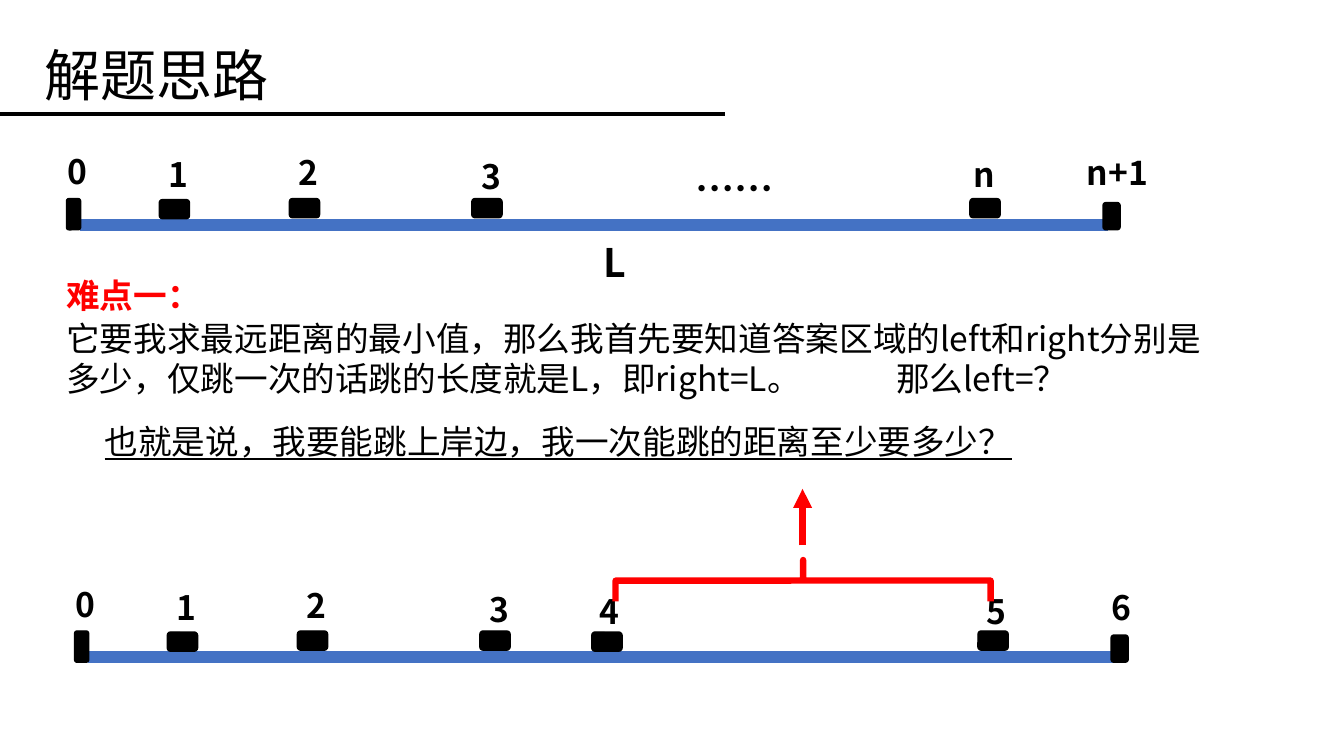
import pptx
import pptx.util
import pptx.dml.color
import pptx.enum.shapes
import pptx.oxml.ns
import lxml.etree

FONT = "Noto Sans CJK SC"
BLACK, BLUE, RED = "000000", "4472C4", "FF0000"
TITLE = "解题思路"
HEADING = "难点一："
BODY = [
    ("它要我求最远距离的最小值，那么我首先要知道答案区域的left和right分别"
     "是多少，仅跳一次的话跳的长度就是L，即right=L。\t那么left=？",
     dict(tab=8.23)),
    ("\t也就是说，我要能跳上岸边，我一次能跳的距离至少要多少？",
     dict(tab=0.38, underline=True, before=16)),
]
STONE, LEFT_BANK, RIGHT_BANK = (0.3, 0.19), (0.14, 0.31), (0.17, 0.27)
MARKS = [
    (0.66, 0, LEFT_BANK),
    (1.58, 0.01, STONE),
    (2.87, 0, STONE),
    (4.68, 0, STONE),
    (9.62, 0, STONE),
    (10.94, 0.04, RIGHT_BANK),
]
RIVERS = [
    (0, 1.97, [("0", 0.57, -0.52), ("1", 1.57, -0.49), ("2", 2.86, -0.51),
               ("3", 4.68, -0.47), ("n", 9.56, -0.49), ("n+1", 10.68, -0.51)], []),
    (0.08, 6.26, [("0", 0.57, -0.52), ("1", 1.57, -0.49), ("2", 2.86, -0.51),
                  ("3", 4.68, -0.47), ("4", 5.77, -0.45), ("5", 9.61, -0.45),
                  ("6", 10.85, -0.49)], [(5.79, 0.01, STONE)]),
]

prs = pptx.Presentation()
prs.slide_width = pptx.util.Inches(13.33)
prs.slide_height = pptx.util.Inches(7.5)
slide = prs.slides.add_slide(prs.slide_layouts[6])


def rgb(value):
    return pptx.dml.color.RGBColor.from_string(value)


def inches(*values):
    return [pptx.util.Inches(v) for v in values]


def add_xml(parent, tag, **attrs):
    return lxml.etree.SubElement(parent, pptx.oxml.ns.qn(tag), **attrs)


def write(p, text, size=24, color=BLACK, bold=False, underline=False, tab=None, before=0):
    p.space_before = pptx.util.Pt(before)
    if tab:
        stops = add_xml(p._p.get_or_add_pPr(), "a:tabLst")
        add_xml(stops, "a:tab", pos=str(pptx.util.Inches(tab)), algn="l")
    r = p.add_run()
    r.text = text
    r.font.name = FONT
    r.font.size = pptx.util.Pt(size)
    r.font.bold = bold
    r.font.underline = underline
    r.font.color.rgb = rgb(color)
    add_xml(r._r.get_or_add_rPr(), "a:ea", typeface=FONT)


def add_text(paragraphs, x, y, w, h, wrap=True, **fmt):
    tf = slide.shapes.add_textbox(*inches(x, y, w, h)).text_frame
    tf.word_wrap = wrap
    if isinstance(paragraphs, str):
        paragraphs = [(paragraphs, fmt)]
    for i, (text, kwargs) in enumerate(paragraphs):
        write(tf.add_paragraph() if i else tf.paragraphs[0], text, **kwargs)


def add_line(x1, y1, x2, y2, color, width, arrow=False):
    sp = slide.shapes.add_connector(
        pptx.enum.shapes.MSO_CONNECTOR.STRAIGHT, *inches(x1, y1, x2, y2))
    sp.line.color.rgb = rgb(color)
    sp.line.width = pptx.util.Pt(width)
    if arrow:
        add_xml(sp.line._get_or_add_ln(), "a:tailEnd", type="triangle")
    add_xml(sp._element.spPr, "a:effectLst")


def add_shape(kind, x, y, w, h, color, width, filled=True):
    sp = slide.shapes.add_shape(kind, *inches(x, y, w, h))
    sp.shadow.inherit = False
    if filled:
        sp.fill.solid()
        sp.fill.fore_color.rgb = rgb(color)
    else:
        sp.fill.background()
    sp.line.color.rgb = rgb(color)
    sp.line.width = pptx.util.Pt(width)
    return sp


def add_river(dx, top, labels, extra_marks):
    add_line(0.79 + dx, top + 0.26, 10.99 + dx, top + 0.26, BLUE, 8.25)
    for x, dy, size in MARKS + extra_marks:
        add_shape(pptx.enum.shapes.MSO_SHAPE.ROUNDED_RECTANGLE,
                  x + dx, top + dy, *size, BLACK, 1)
    for text, x, dy in labels:
        add_text(text, x + dx, top + dy, 1.2, 0.5, bold=True)


add_line(0, 1.13, 7.19, 1.13, BLACK, 3)
add_text(TITLE, 0.34, 0.35, 2.45, 0.77, wrap=False, size=40)
add_text(BODY, 0.56, 3.1, 11.48, 1.51)
add_text(HEADING, 0.56, 2.68, 2, 0.5, color=RED, bold=True)
for river in RIVERS:
    add_river(*river)
add_text("……", 6.8, 1.58, 1.59, 0.57, size=28, bold=True)
add_text("L", 5.89, 2.32, 1.18, 0.57, size=28, bold=True)

brace = add_shape(pptx.enum.shapes.MSO_SHAPE.LEFT_BRACE,
                  7.76, 3.9, 0.41, 3.72, RED, 4.5, filled=False)
brace.rotation = 90
brace.adjustments[0] = 0
brace.adjustments[1] = 0.5
add_line(7.96, 5.41, 7.96, 4.85, RED, 4.5, arrow=True)

prs.save("out.pptx")
